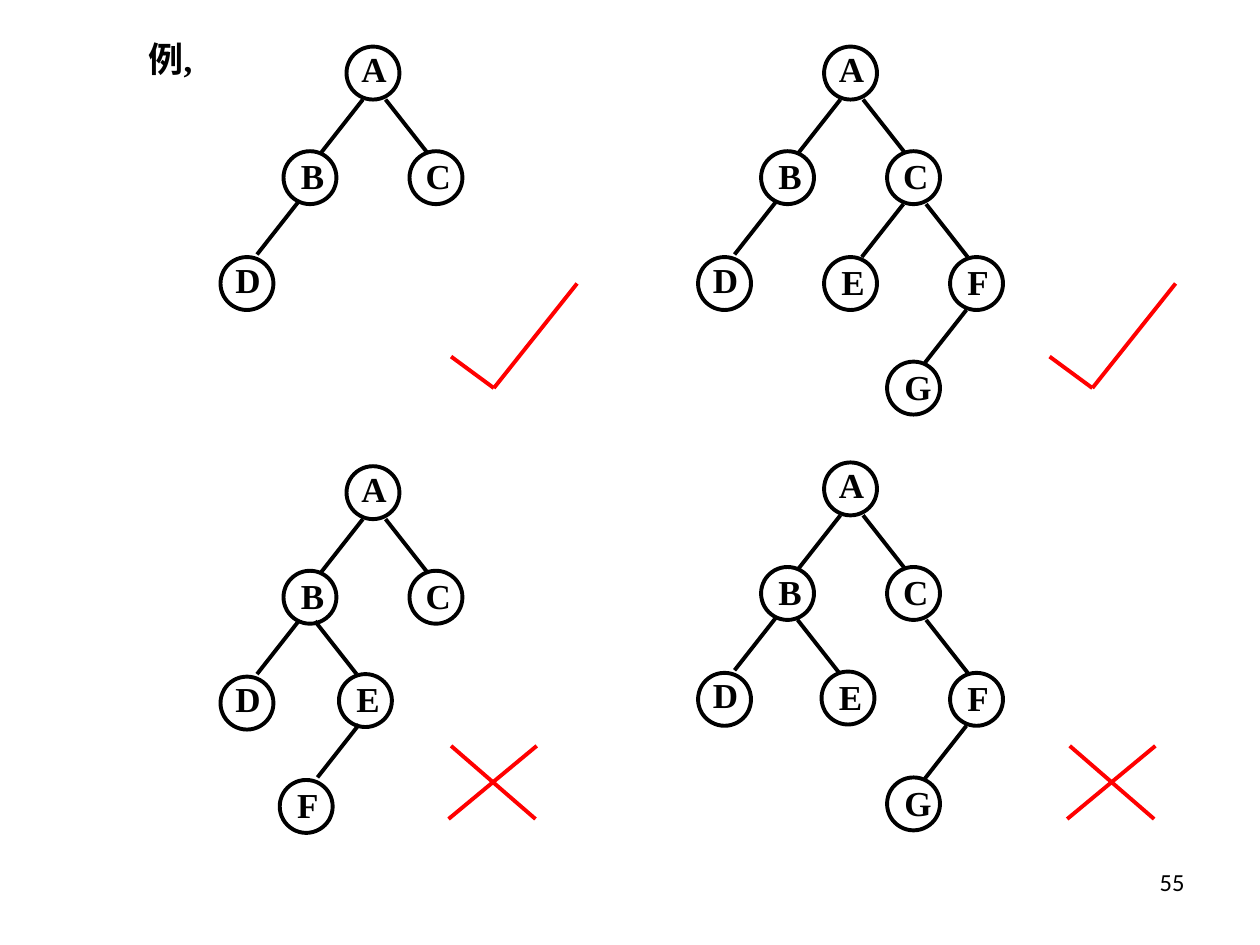
from dataclasses import dataclass
from typing import Any

from lxml.etree import SubElement
from pptx import Presentation
from pptx.dml.color import RGBColor
from pptx.enum.shapes import MSO_CONNECTOR, MSO_SHAPE
from pptx.enum.text import MSO_ANCHOR, MSO_AUTO_SIZE, PP_ALIGN
from pptx.oxml.ns import qn
from pptx.util import Inches, Pt

Point = tuple[float, float]

BLACK = "000000"
RED = "FF0000"
SIZE = 0.42
RUN = 0.33
BOLD = {"name": "Times New Roman", "size": Pt(20), "bold": True}
PLAIN = {"name": "Calibri", "size": Pt(14), "bold": False}
LABEL = {
    "A": (0.02, -0.04), "B": (0.04, -0.02), "C": (0.03, -0.02), "D": (0.02, -0.04),
    "E": (0.04, -0.02), "F": (0.04, -0.02), "G": (0.04, -0.02),
}
TICK = [((0, 0.58), (0.34, 0.83)), ((0.34, 0.83), (1, 0))]
CROSS = [((0.02, 0), (0.69, 0.58)), ((0.7, 0), (0, 0.58))]


@dataclass(frozen=True)
class Node:
    name: str
    x: float
    y: float
    parent: str = ""
    nudge: Point = (0, 0)


@dataclass(frozen=True)
class Tree:
    x: float
    y: float
    nodes: list[Node]


@dataclass(frozen=True)
class Mark:
    x: float
    y: float
    strokes: list[tuple[Point, Point]]


BASE = [
    Node("A", 0, 0),
    Node("B", -0.5, 0.83, "A"),
    Node("C", 0.5, 0.83, "A"),
    Node("D", -1, 1.67, "B", (-0.01, -0.02)),
]
TAIL = [Node("F", 1, 1.67, "C"), Node("G", 0.5, 2.5, "F")]
TREES = [
    Tree(2.75, 0.37, BASE),
    Tree(6.54, 0.37, BASE + [Node("E", 0, 1.67, "C")] + TAIL),
    Tree(2.75, 3.7, BASE + [
        Node("E", -0.06, 1.65, "B", (-0.06, -0.02)),
        Node("F", -0.53, 2.49, "E", (0.03, -0.02)),
    ]),
    Tree(6.54, 3.67, BASE + [Node("E", -0.02, 1.66, "B", (-0.02, 0))] + TAIL),
]
MARKS = [
    Mark(3.58, 2.25, TICK),
    Mark(8.33, 2.25, TICK),
    Mark(3.56, 5.92, CROSS),
    Mark(8.47, 5.92, CROSS),
]


def color(item: Any, tone: str) -> None:
    item.rgb = RGBColor.from_string(tone)


def pen(line: Any, tone: str) -> None:
    color(line.fill_color if hasattr(line, "fill_color") else line.color, tone)
    line.width = Pt(2.25)


def write(box: Any, text: str, form: dict[str, Any], align: PP_ALIGN, fit: MSO_AUTO_SIZE) -> None:
    frame = box.text_frame
    frame.text = text
    look = {"word_wrap": True, "auto_size": fit, "vertical_anchor": MSO_ANCHOR.TOP}
    for key, value in look.items():
        setattr(frame, key, value)
    part = frame.paragraphs[0]
    part.alignment = align
    font = part.runs[0].font
    for key, value in form.items():
        setattr(font, key, value)
    color(font.color, BLACK)


def stroke(group: Any, start: Point, end: Point, tone: str) -> None:
    line = group.shapes.add_connector(
        MSO_CONNECTOR.STRAIGHT, *(Inches(n) for n in (*start, *end))
    )
    pen(line.line, tone)
    SubElement(line.element.spPr, qn("a:effectLst"))


def ring(group: Any, x: float, y: float) -> None:
    oval = group.shapes.add_shape(
        MSO_SHAPE.OVAL, Inches(x), Inches(y), Inches(SIZE), Inches(SIZE)
    )
    oval.shadow.inherit = False
    oval.fill.background()
    pen(oval.line, BLACK)


def label(group: Any, name: str, x: float, y: float) -> None:
    dx, dy = LABEL[name]
    box = group.shapes.add_textbox(
        Inches(x + dx), Inches(y + dy), Inches(0.67), Inches(0.44)
    )
    write(box, name, BOLD, PP_ALIGN.LEFT, MSO_AUTO_SIZE.SHAPE_TO_FIT_TEXT)


def edge(group: Any, tree: Tree, top: Node, node: Node) -> None:
    left = node.x < top.x
    x = tree.x + top.x + (0.13 if left else 0.31) + node.nudge[0]
    y = tree.y + top.y + SIZE + node.nudge[1]
    stroke(group, (x, y), (x + (-RUN if left else RUN), y + SIZE), BLACK)


def plant(slide: Any, tree: Tree) -> None:
    group = slide.shapes.add_group_shape()
    names = {node.name: node for node in tree.nodes}
    for node in tree.nodes:
        x, y = tree.x + node.x, tree.y + node.y
        ring(group, x, y)
        if node.parent:
            edge(group, tree, names[node.parent], node)
        label(group, node.name, x, y)


def grade(slide: Any, mark: Mark) -> None:
    group = slide.shapes.add_group_shape()
    for start, end in mark.strokes:
        first, last = ((mark.x + x, mark.y + y) for x, y in (start, end))
        stroke(group, first, last, RED)


def main() -> None:
    deck = Presentation()
    deck.slide_width, deck.slide_height = Inches(10), Inches(7.5)
    slide = deck.slides.add_slide(deck.slide_layouts[5])
    title = slide.shapes.title
    place = {"left": 1.08, "top": 0.25, "width": 2.83, "height": 0.44}
    for key, value in place.items():
        setattr(title, key, Inches(value))
    write(title, "例,", BOLD, PP_ALIGN.LEFT, MSO_AUTO_SIZE.NONE)
    for tree in TREES:
        plant(slide, tree)
    for mark in MARKS:
        grade(slide, mark)
    page = slide.shapes.add_textbox(Inches(7.17), Inches(6.83), Inches(2.33), Inches(0.52))
    write(page, "55", PLAIN, PP_ALIGN.RIGHT, MSO_AUTO_SIZE.NONE)
    deck.save("out.pptx")


if __name__ == "__main__":
    main()
